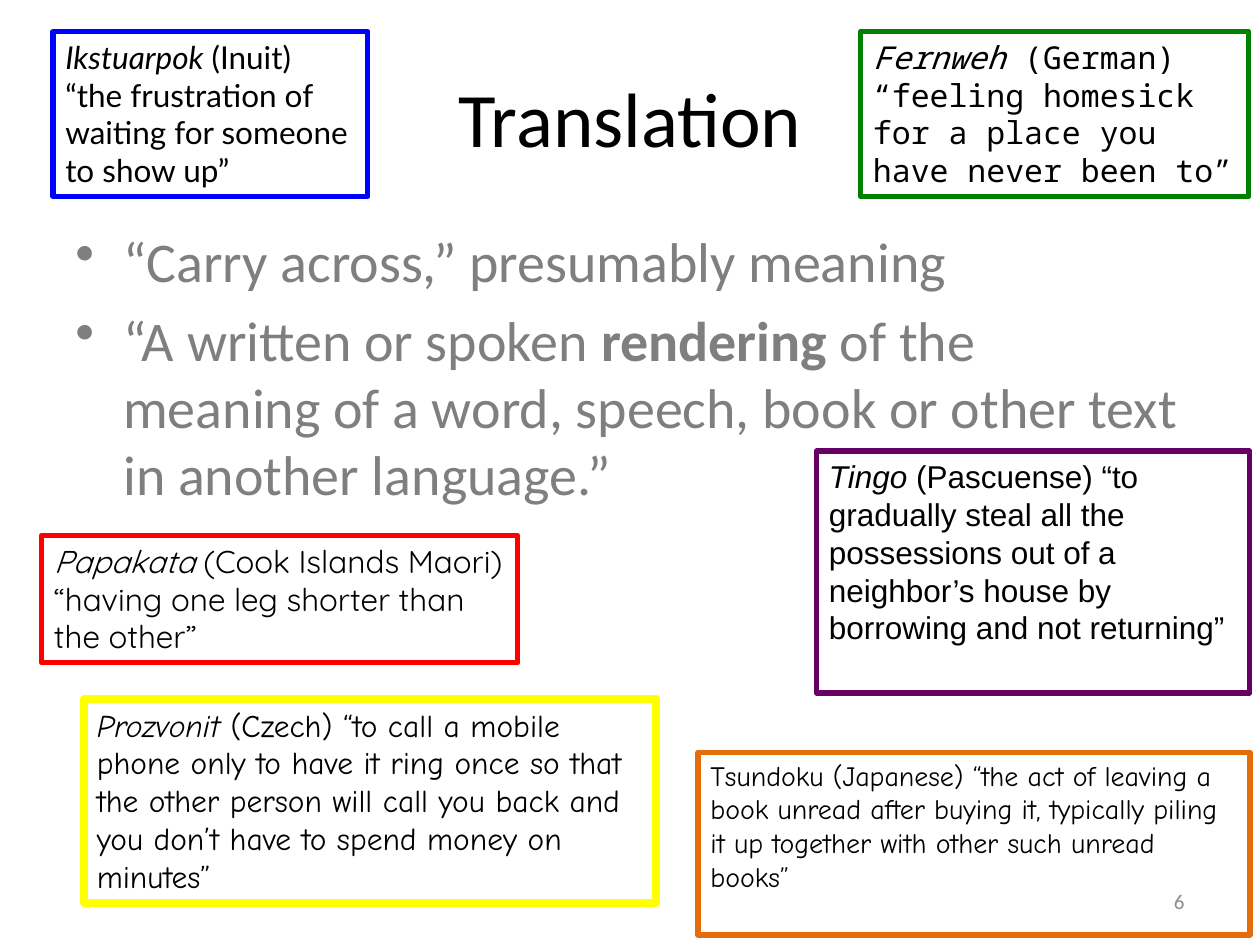
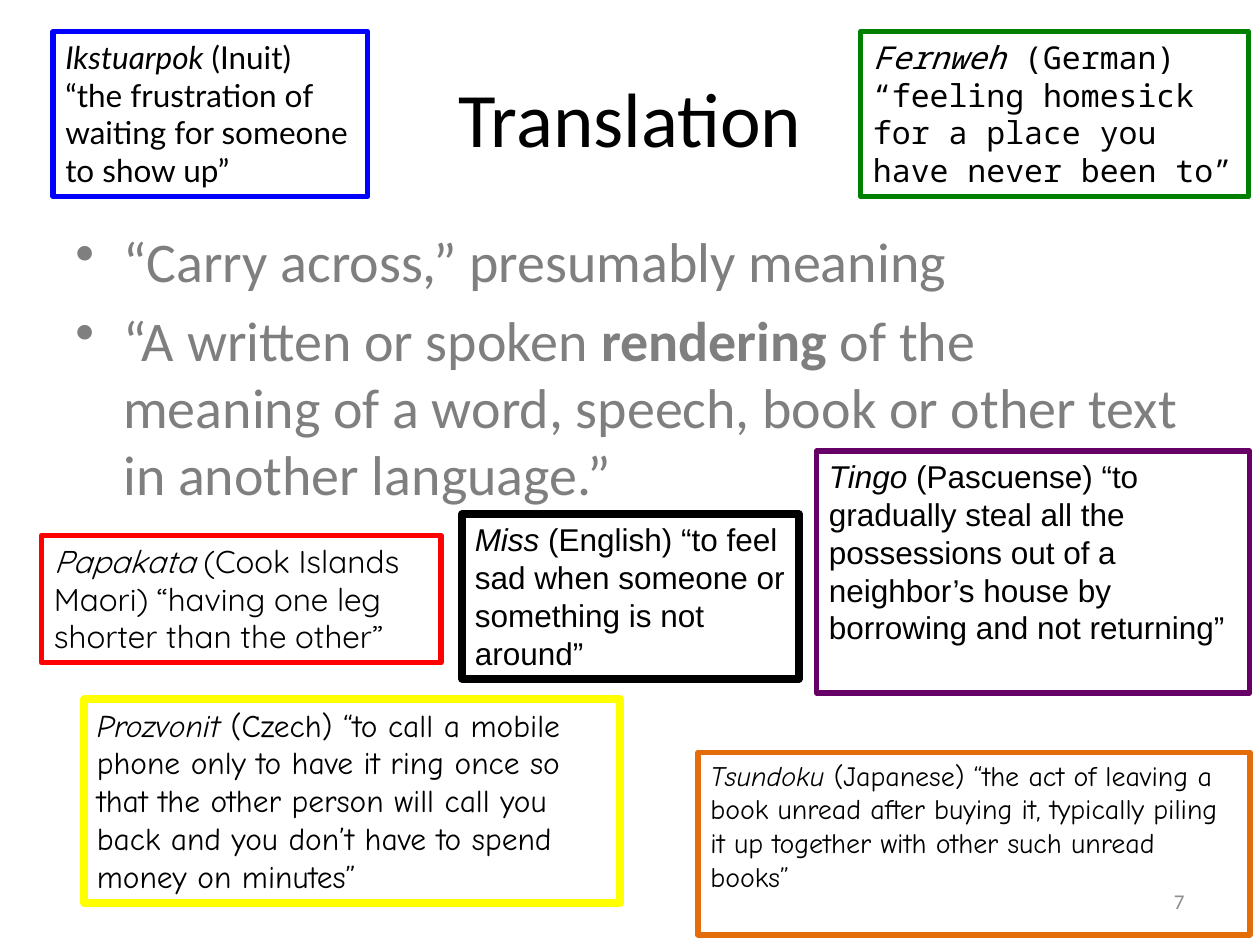
from pptx import Presentation
from pptx.dml.color import RGBColor
from pptx.enum.shapes import MSO_SHAPE
from pptx.enum.text import MSO_ANCHOR, MSO_AUTO_SIZE, PP_ALIGN
from pptx.oxml import parse_xml
from pptx.oxml.ns import nsdecls
from pptx.util import Pt

PX = 9144  # EMU in one px, 100 px to the inch

BLACK = RGBColor(0x00, 0x00, 0x00)
GREY = RGBColor(0x7F, 0x7F, 0x7F)
PALE = RGBColor(0x8C, 0x8C, 0x8C)
GREEN = RGBColor(0x00, 0x80, 0x00)
RED = RGBColor(0xFF, 0x00, 0x00)
BLUE = RGBColor(0x00, 0x00, 0xFF)
PURPLE = RGBColor(0x66, 0x00, 0x66)
ORANGE = RGBColor(0xE4, 0x6C, 0x0A)
YELLOW = RGBColor(0xFF, 0xFF, 0x00)

MAIN = "Calibri"
HAND = "Comic Neue"
THIN, THICK = 3, 4.5

# Bullets as lists of (text, bold)
POINTS = [
    [("“Carry across,” presumably meaning", False)],
    [("“A written or spoken ", False), ("rendering", True),
     (" of the meaning of a word, speech, book or other text "
      "in another language.”", False)],
]

# Words: (term, meaning, font, size, colour, line width)
FERNWEH = ("Fernweh", " (German) “feeling homesick for a place you have "
           "never been to”", "Noto Sans Mono", 18, GREEN, THIN)
PAPAKATA = ("Papakata", " (Cook Islands Maori) “having one leg shorter than "
            "the other”", "Quicksand", 18, RED, THIN)
IKSTUARPOK = ("Ikstuarpok", " (Inuit) “the frustration of waiting for someone "
              "to show up”", "Lato", 18, BLUE, THIN)
TINGO = ("Tingo", " (Pascuense) “to gradually steal all the possessions out "
         "of a neighbor’s house by borrowing and not returning”",
         "Arial", 18, PURPLE, THIN)
TSUNDOKU = ("Tsundoku", " (Japanese) “the act of leaving a book unread after "
            "buying it, typically piling it up together with other such "
            "unread books”", HAND, 16, ORANGE, THIN)
PROZVONIT = ("Prozvonit", " (Czech) “to call a mobile phone only to have it "
             "ring once so that the other person will call you back and you "
             "don’t have to spend money on minutes”",
             HAND, 18, YELLOW, THICK)
MISS = ("Miss", " (English) “to feel sad when someone or something is not "
        "around”", "Arial", 18, BLACK, THICK)


def scale(*nums):
    return [num * PX for num in nums]


def style(para, face, size, color):
    para.font.name = face
    para.font.size = Pt(size)
    para.font.color.rgb = color


def add_text(slide, area, text, size, color, align):
    """One line of text, centred in height."""
    frame = slide.shapes.add_textbox(*scale(*area)).text_frame
    frame.word_wrap = True
    frame.vertical_anchor = MSO_ANCHOR.MIDDLE
    para = frame.paragraphs[0]
    para.text = text
    para.alignment = align
    style(para, MAIN, size, color)


def add_bullets(slide, area, points):
    frame = slide.shapes.add_textbox(*scale(*area)).text_frame
    frame.word_wrap = True
    for num, parts in enumerate(points):
        para = frame.add_paragraph() if num else frame.paragraphs[0]
        para.space_before = Pt(6.4)
        style(para, MAIN, 32, GREY)
        for text, bold in parts:
            run = para.add_run()
            run.text = text
            run.font.bold = bold
        # Hanging indent and bullet sign
        props = para._p.get_or_add_pPr()
        props.set("marL", str(38 * PX))
        props.set("indent", str(-38 * PX))
        sign = parse_xml(f'<a:buChar {nsdecls("a")} char="•"/>')
        props.insert_element_before(sign, "a:tabLst", "a:defRPr", "a:extLst")


def add_word(slide, area, word, slant=True):
    """A framed word with its meaning."""
    term, sense, face, size, color, width = word
    box = slide.shapes.add_shape(MSO_SHAPE.RECTANGLE, *scale(*area))
    box.shadow.inherit = False
    box.fill.background()
    box.line.color.rgb = color
    box.line.width = Pt(width)
    frame = box.text_frame
    frame.word_wrap = True
    frame.auto_size = MSO_AUTO_SIZE.SHAPE_TO_FIT_TEXT
    frame.vertical_anchor = MSO_ANCHOR.TOP
    para = frame.paragraphs[0]
    para.alignment = PP_ALIGN.LEFT
    style(para, face, size, BLACK)
    for text, lean in ((term, slant), (sense, False)):
        run = para.add_run()
        run.text = text
        run.font.italic = lean


def add_page(deck, num, red_width, gold_width, slant):
    """The shared slide; two boxes and one slant differ."""
    slide = deck.slides.add_slide(deck.slide_layouts[6])
    add_text(slide, (50, 30, 900, 125), "Translation", 44, BLACK,
             PP_ALIGN.CENTER)
    add_bullets(slide, (50, 175, 900, 495), POINTS)
    add_text(slide, (717, 695, 233, 40), str(num), 12, PALE, PP_ALIGN.RIGHT)
    add_word(slide, (683, 25, 308, 131), FERNWEH)
    add_word(slide, (33, 425, red_width, 101), PAPAKATA)
    add_word(slide, (42, 25, 250, 131), IKSTUARPOK)
    add_word(slide, (648, 358, 344, 192), TINGO)
    add_word(slide, (554, 597, 438, 145), TSUNDOKU, slant)
    add_word(slide, (67, 555, gold_width, 162), PROZVONIT)
    return slide


def main():
    deck = Presentation()
    deck.slide_width, deck.slide_height = scale(1000, 750)

    # Slide 6: foreign words
    add_page(deck, 6, 378, 454, False)

    # Slide 7: narrower boxes make room for an English word
    slide = add_page(deck, 7, 317, 425, True)
    add_word(slide, (367, 408, 267, 131), MISS)

    deck.save("out.pptx")


if __name__ == "__main__":
    main()
